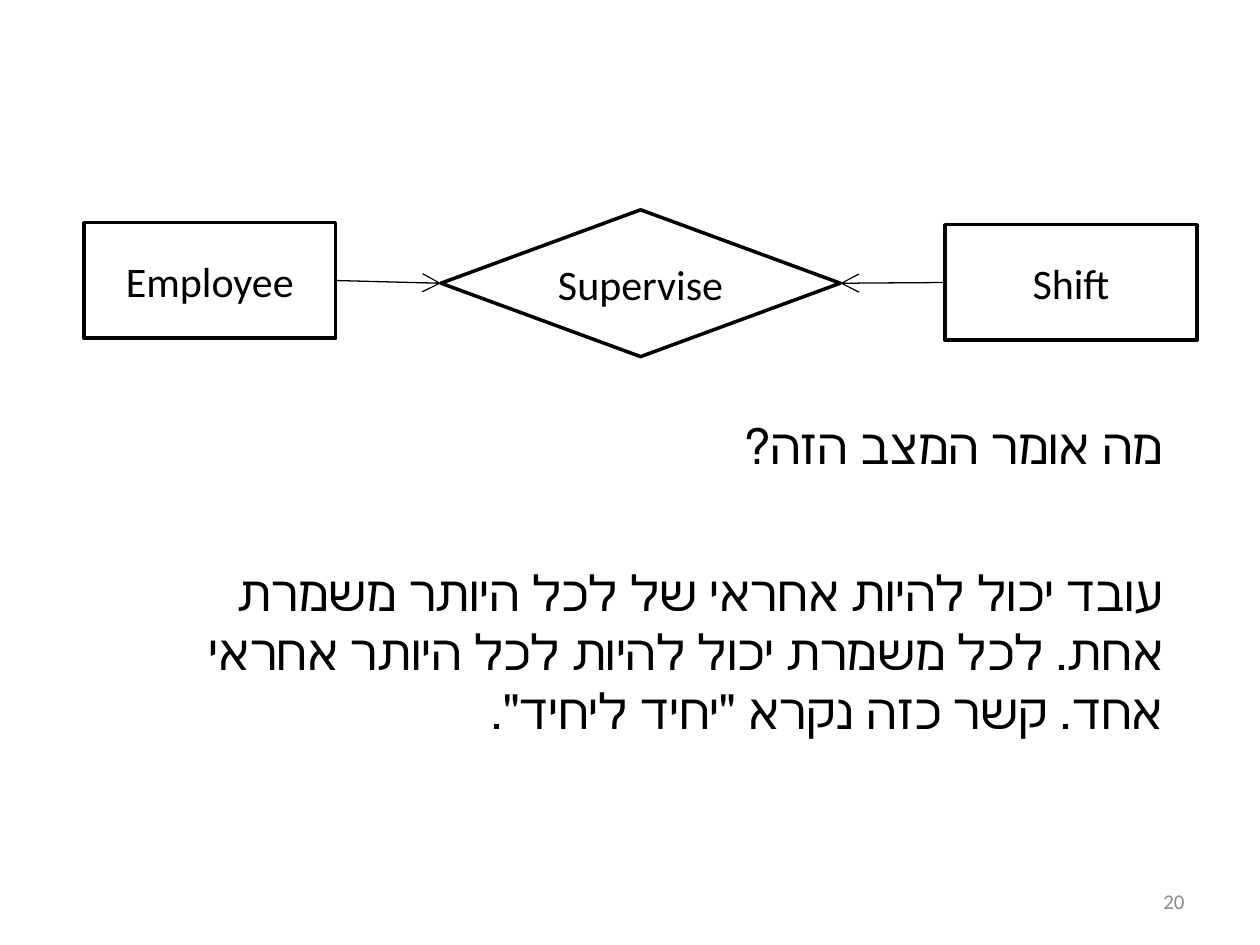
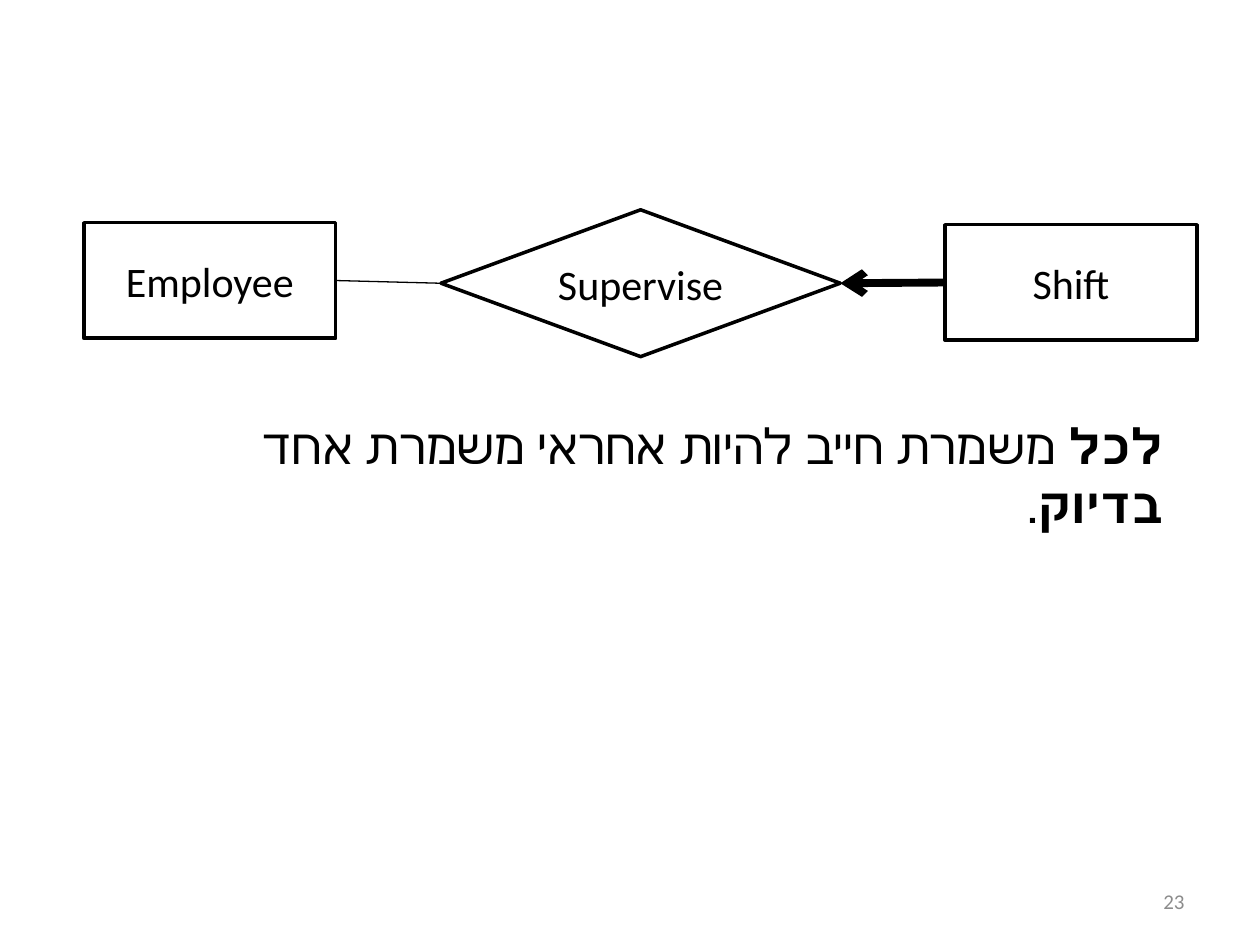
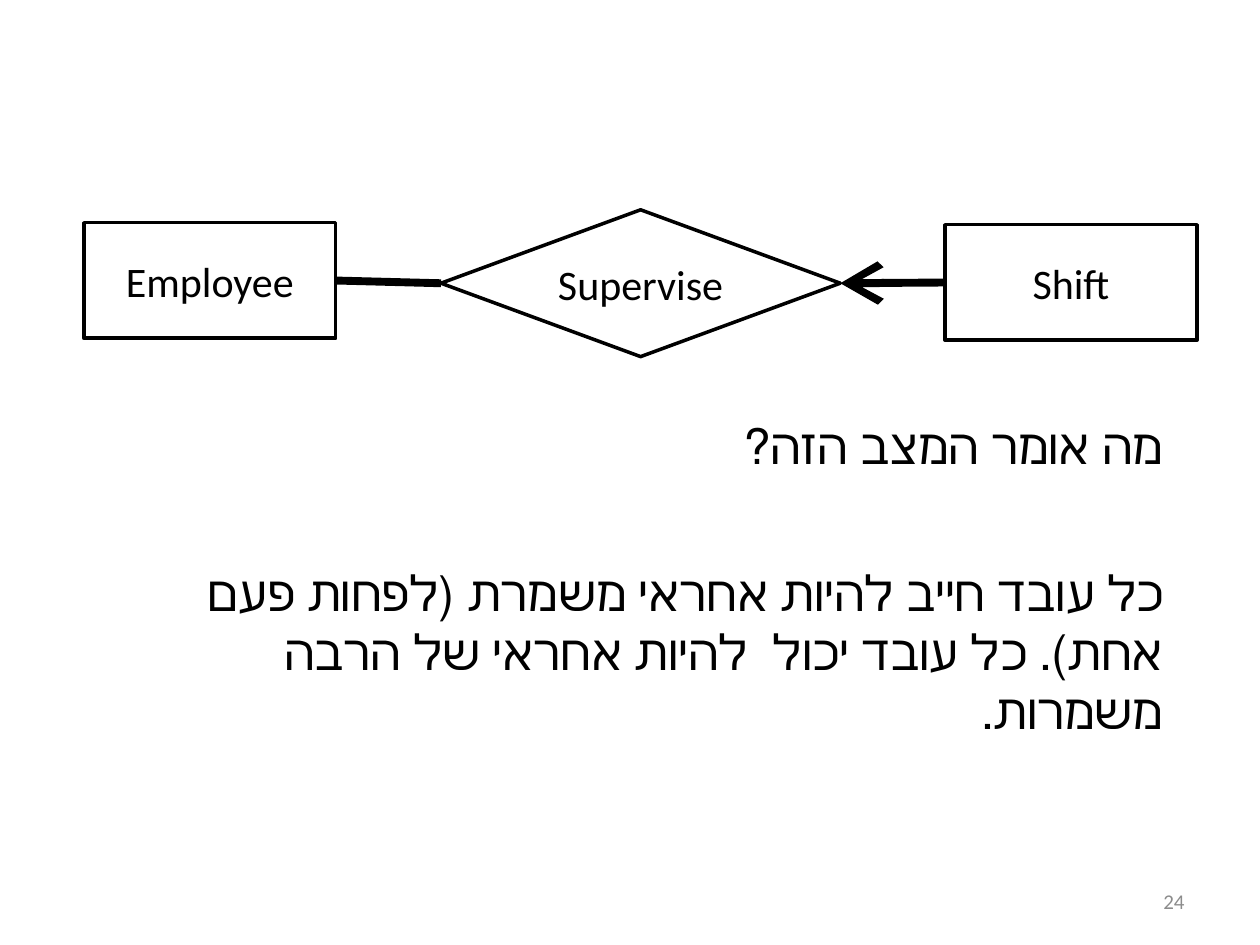
"""Build three slides on how an entity-relationship diagram limits who supervises a shift."""
from lxml.etree import SubElement
from pptx import Presentation
from pptx.dml.color import RGBColor
from pptx.enum.lang import MSO_LANGUAGE_ID
from pptx.enum.shapes import MSO_CONNECTOR, MSO_SHAPE
from pptx.enum.text import MSO_ANCHOR, MSO_AUTO_SIZE, PP_ALIGN
from pptx.oxml.ns import qn
from pptx.util import Cm, Pt

COLORS = {"ink": "000000", "page_number": "8C8C8C"}
FONT = "Calibri"
THIN, THICK = 0.75, 4.5
QUESTION = "מה אומר המצב הזה?"
QUESTION_TOP, ANSWER_TOP = 8.26, 11.22

ENTITIES = [
    ("Employee", MSO_SHAPE.RECTANGLE, 1.69, 4.49, 5.08, 2.33),
    ("Shift", MSO_SHAPE.RECTANGLE, 19.05, 4.53, 5.08, 2.33),
    ("Supervise", MSO_SHAPE.FLOWCHART_DECISION, 8.89, 4.23, 8.05, 2.96),
]

SLIDES = [
    {
        "number": "20",
        "links": [("Employee", THIN, "lg"), ("Shift", THIN, "lg")],
        "statements": [
            (QUESTION_TOP, 1.45, [(QUESTION, False)]),
            (ANSWER_TOP, 3.84, [(
                "עובד יכול להיות אחראי של לכל היותר משמרת אחת. "
                "לכל משמרת יכול להיות לכל היותר אחראי אחד. "
                'קשר כזה נקרא "יחיד ליחיד".', False)]),
        ],
    },
    {
        "number": "23",
        "links": [("Employee", THIN, None), ("Shift", THICK, "med")],
        "statements": [
            (QUESTION_TOP, 1.45, [
                ("לכל ", True),
                ("משמרת חייב להיות אחראי משמרת אחד ", False),
                ("בדיוק", True),
                (".", False),
            ]),
        ],
    },
    {
        "number": "24",
        "links": [("Employee", THICK, None), ("Shift", THICK, "lg")],
        "statements": [
            (QUESTION_TOP, 1.45, [(QUESTION, False)]),
            (ANSWER_TOP, 2.64, [(
                "כל עובד חייב להיות אחראי משמרת (לפחות פעם אחת). "
                "כל עובד יכול  להיות אחראי של הרבה משמרות.", False)]),
        ],
    },
]


def style_run(run, size, color="ink", bold=False):
    run.font.name = FONT
    run.font.size = Pt(size)
    run.font.bold = bold
    run.font.color.rgb = RGBColor.from_string(COLORS[color])


prs = Presentation()
prs.slide_width, prs.slide_height = Cm(25.4), Cm(19.05)

for content in SLIDES:
    slide = prs.slides.add_slide(prs.slide_layouts[6])

    page_number = slide.shapes.add_textbox(Cm(18.21), Cm(17.65), Cm(5.92), Cm(1.02)).text_frame
    page_number.word_wrap = True
    page_number.vertical_anchor = MSO_ANCHOR.MIDDLE
    page_number.text = content["number"]
    page_number.paragraphs[0].alignment = PP_ALIGN.RIGHT
    style_run(page_number.paragraphs[0].runs[0], 12, "page_number")

    nodes = {}
    for label, outline, left, top, width, height in ENTITIES:
        node = slide.shapes.add_shape(outline, Cm(left), Cm(top), Cm(width), Cm(height))
        node.shadow.inherit = False
        node.fill.background()
        node.line.color.rgb = RGBColor.from_string(COLORS["ink"])
        node.line.width = Pt(2)
        node.text_frame.vertical_anchor = MSO_ANCHOR.MIDDLE
        node.text_frame.text = label
        node.text_frame.paragraphs[0].alignment = PP_ALIGN.CENTER
        style_run(node.text_frame.paragraphs[0].runs[0], 24)
        nodes[label] = node

    for entity, weight, arrow_size in content["links"]:
        diamond_side, entity_side = (1, 3) if entity == "Employee" else (3, 1)
        link = slide.shapes.add_connector(MSO_CONNECTOR.STRAIGHT, 0, 0, 0, 0)
        link.begin_connect(nodes["Supervise"], diamond_side)
        link.end_connect(nodes[entity], entity_side)
        link.line.color.rgb = RGBColor.from_string(COLORS["ink"])
        link.line.width = Pt(weight)
        if arrow_size:
            SubElement(link.line._get_or_add_ln(), qn("a:headEnd"),
                       type="arrow", w=arrow_size, len=arrow_size)
        SubElement(link._element.spPr, qn("a:effectLst"))

    for top, height, pieces in content["statements"]:
        statement = slide.shapes.add_textbox(Cm(2.54), Cm(top), Cm(21.16), Cm(height)).text_frame
        statement.word_wrap = True
        statement.auto_size = MSO_AUTO_SIZE.SHAPE_TO_FIT_TEXT
        paragraph = statement.paragraphs[0]
        paragraph.alignment = PP_ALIGN.RIGHT
        paragraph._p.get_or_add_pPr().set("rtl", "1")
        for words, bold in pieces:
            run = paragraph.add_run()
            run.text = words
            style_run(run, 28, bold=bold)
            run.font.language_id = MSO_LANGUAGE_ID.HEBREW

prs.save("out.pptx")
